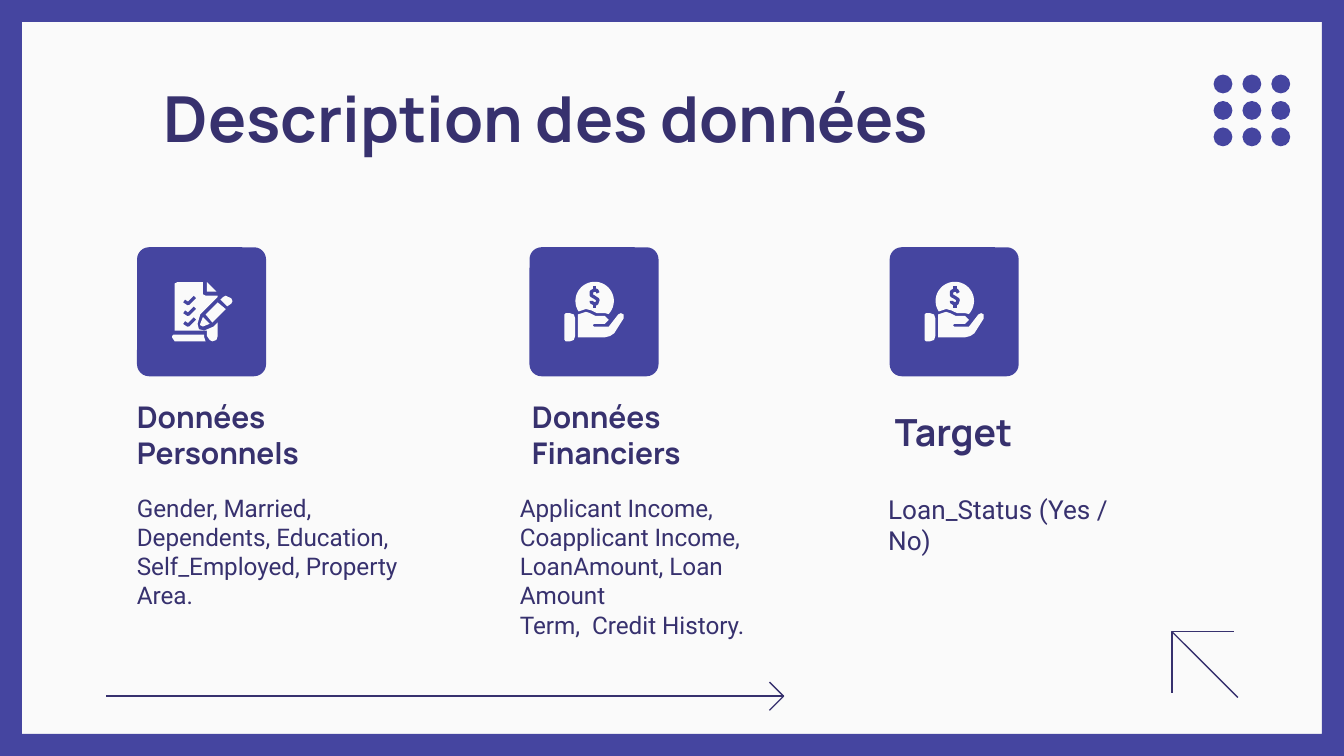
import math

import pptx
import pptx.dml.color
import pptx.enum.shapes
import pptx.enum.text
import pptx.oxml.ns
import pptx.util
from lxml import etree

INDIGO = "4545A0"
INK = "37316E"
PAPER = "FAFAFA"
CELL = pptx.util.Inches(0.1)
TILE_SIZE = 9.6
TILE_TOP = 18.4

CHECKLIST_PARTS = [
    [(30, 26), (28, 27), (28, 62), (52, 62), (52, 66), (54, 69), (56, 70),
     (59, 69), (60, 66), (60, 56), (57, 59), (50, 62), (46, 61), (45, 57),
     (47, 50), (60, 37), (60, 36), (51, 36), (49, 35), (49, 26)],
    [(66, 36), (64, 37), (62, 39), (67, 44), (70, 42), (71, 40), (70, 38), (68, 37)],
    [(49, 52), (47, 57), (47, 58), (49, 59), (54, 57)],
    [(60, 41), (51, 50), (56, 56), (66, 46)],
    [(52, 26), (52, 33), (59, 33)],
    [(27, 65), (26, 66), (26, 67), (28, 70), (51, 70), (50, 67), (50, 65)],
]
CHECK_MARKS = [[(35, 40 + drop), (38, 42 + drop), (43, 37 + drop)] for drop in (0, 8, 16)]

COIN_ARC = [
    (48.5 + 14.3 * math.cos(math.radians(angle)), 40 + 14.3 * math.sin(math.radians(angle)))
    for angle in range(147, 404, 8)
]
HAND_PARTS = [
    COIN_ARC + [(56, 49), (50, 49), (46, 47), (42, 46)],
    [(27, 49), (26, 50), (26, 69), (27, 70), (30, 70), (33, 69), (34, 66),
     (34, 53), (33, 50), (30, 49)],
    [(42, 48), (36, 50), (36, 67), (56, 67), (60, 66), (63, 64), (70, 53),
     (70, 50), (68, 49), (66, 50), (59, 59), (57, 59), (48, 59), (47, 58),
     (48, 57), (56, 57), (59, 54), (56, 51), (49, 51), (45, 49)],
]
DOLLAR_STROKES = [
    [(51, 34), (50, 32), (48, 32), (46, 33), (46, 36), (48, 37), (51, 39),
     (50, 42), (48, 42), (46, 41), (46, 40)],
    [(48.5, 29), (48.5, 32)],
    [(48.5, 42), (48.5, 45)],
]

CHECKLIST = (CHECKLIST_PARTS, CHECK_MARKS)
COIN_IN_HAND = (HAND_PARTS, DOLLAR_STROKES)

COLUMNS = [
    (10.2, CHECKLIST,
     (9.2, 29.7, 14.8, 6.3), "Données\nPersonnels", 16,
     (9.2, 35.7, 21.6, 11.6),
     "Gender, Married, Dependents, Education, Self_Employed, Property Area.", 13),
    (39.4, COIN_IN_HAND,
     (38.6, 29.7, 14.8, 6.3), "Données\nFinanciers", 16,
     (37.7, 35.7, 23.3, 9.5),
     "Applicant Income,\nCoapplicant Income,\nLoanAmount, Loan Amount\nTerm,  Credit History.", 13),
    (66.2, COIN_IN_HAND,
     (65.6, 29, 11.6, 5.8), "Target", 20,
     (65.1, 35.7, 20.7, 4.9), "Loan_Status (Yes / No)", 14),
]


def color(hex_string):
    return pptx.dml.color.RGBColor.from_string(hex_string)


def cells(*counts):
    return [round(count * CELL) for count in counts]


class SlidePainter:
    def __init__(self, slide):
        self.slide = slide
        slide.background.fill.solid()
        slide.background.fill.fore_color.rgb = color(PAPER)

    def paint(self, shape, fill=None, line=None, width=0.75):
        shape.shadow.inherit = False
        if fill:
            shape.fill.solid()
            shape.fill.fore_color.rgb = color(fill)
        else:
            shape.fill.background()
        if line:
            shape.line.color.rgb = color(line)
            shape.line.width = pptx.util.Pt(width)
        else:
            shape.line.fill.background()

    def preset(self, kind, box, adjustment=None):
        shape = self.slide.shapes.add_shape(kind, *cells(*box))
        if adjustment is not None:
            shape.adjustments[0] = adjustment
        self.paint(shape, fill=INDIGO)

    def outline(self, points, origin=(0, 0), scale=1.0, fill=None, line=None, width=0.75):
        precision = 100
        fine_points = [(round(x * precision), round(y * precision)) for x, y in points]
        builder = self.slide.shapes.build_freeform(
            *fine_points[0], scale=CELL * scale / precision)
        builder.add_line_segments(fine_points[1:], close=fill is not None)
        self.paint(builder.convert_to_shape(*cells(*origin)), fill, line, width)

    def line(self, start, end):
        connector = self.slide.shapes.add_connector(
            pptx.enum.shapes.MSO_CONNECTOR.STRAIGHT, *cells(*start, *end))
        connector.line.color.rgb = color(INK)
        connector.line.width = pptx.util.Pt(0.75)
        etree.SubElement(connector._element.spPr, pptx.oxml.ns.qn("a:effectLst"))

    def arrow(self, tail, tip, barbs):
        self.line(tip, tail)
        self.outline([barbs[0], tip, barbs[1]], line=INK)

    def icon_tile(self, left, icon):
        self.preset(pptx.enum.shapes.MSO_SHAPE.ROUNDED_RECTANGLE,
                    (left, TILE_TOP, TILE_SIZE, TILE_SIZE), 0.093)
        parts, strokes = icon
        for points in parts:
            self.outline(points, (left, TILE_TOP), 0.1, fill=PAPER)
        for points in strokes:
            self.outline(points, (left, TILE_TOP), 0.1, line=INDIGO, width=1.75)

    def style_text(self, shape, text, size, font, bold=False, anchor="TOP"):
        frame = shape.text_frame
        frame.text = text
        frame.word_wrap = True
        frame.auto_size = pptx.enum.text.MSO_AUTO_SIZE.NONE
        frame.vertical_anchor = pptx.enum.text.MSO_ANCHOR[anchor]
        frame.margin_left = frame.margin_right = CELL
        frame.margin_top = frame.margin_bottom = CELL
        for paragraph in frame.paragraphs:
            paragraph.alignment = pptx.enum.text.PP_ALIGN.LEFT
            for run in paragraph.runs:
                run.font.size = pptx.util.Pt(size)
                run.font.name = font
                run.font.bold = bold
                run.font.color.rgb = color(INK)

    def title(self, box, text):
        shape = self.slide.shapes.title
        shape.left, shape.top, shape.width, shape.height = cells(*box)
        self.style_text(shape, text, 34, "Manrope", bold=True)

    def text(self, box, text, size, font, **style):
        self.style_text(self.slide.shapes.add_textbox(*cells(*box)), text, size, font, **style)


def main():
    presentation = pptx.Presentation()
    presentation.slide_width, presentation.slide_height = cells(100, 56.25)
    painter = SlidePainter(presentation.slides.add_slide(presentation.slide_layouts[5]))

    painter.preset(pptx.enum.shapes.MSO_SHAPE.FRAME, (0, 0, 100, 56.25), 0.029)
    painter.arrow((7.9, 51.8), (58.3, 51.8), [(57.25, 50.75), (57.25, 52.85)])
    painter.arrow((92.1, 51.9), (87.2, 47), [(91.8, 47), (87.2, 51.6)])
    painter.title((11.2, 4.9, 65, 6.3), "Description des données")

    for left, icon, heading_box, heading, heading_size, body_box, body, body_size in COLUMNS:
        painter.icon_tile(left, icon)
        painter.text(heading_box, heading, heading_size, "Manrope", bold=True, anchor="BOTTOM")
        painter.text(body_box, body, body_size, "Roboto")

    for row in range(3):
        for column in range(3):
            painter.preset(pptx.enum.shapes.MSO_SHAPE.OVAL,
                           (90.3 + 2.15 * column, 5.55 + 1.97 * row, 1.4, 1.4))

    presentation.save("out.pptx")


if __name__ == "__main__":
    main()
